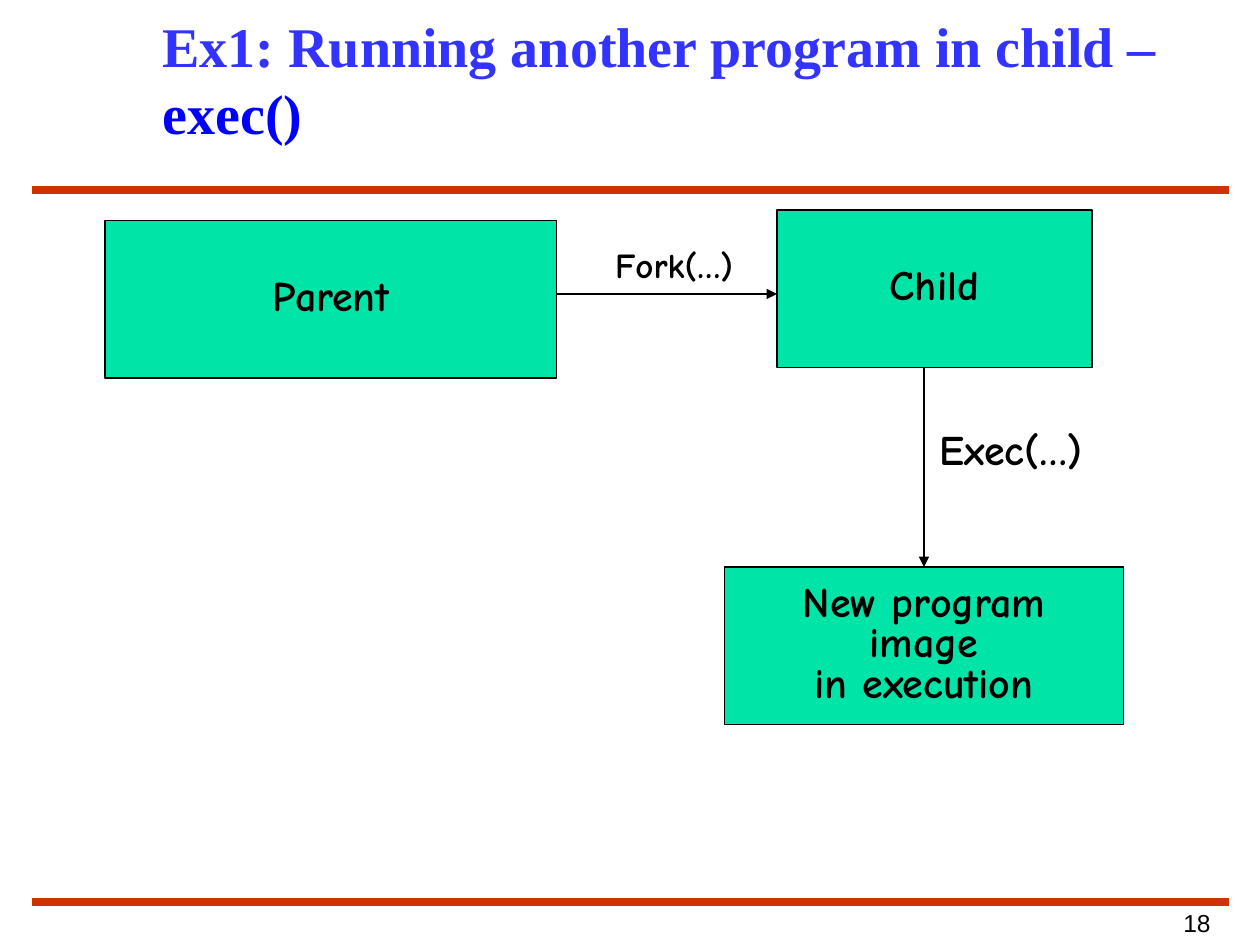
from lxml import etree
from pptx import Presentation
from pptx import util as u
from pptx.dml.color import RGBColor
from pptx.enum import shapes, text
from pptx.oxml.ns import qn

WIDTH, HEIGHT = u.Inches(10), u.Inches(7.5)
COLUMNS = 12
CELL = WIDTH / COLUMNS

BLACK = RGBColor(0x00, 0x00, 0x00)
BLUE = RGBColor(0x00, 0x00, 0xFF)
VIOLET = RGBColor(0x33, 0x33, 0xFF)
GREEN = RGBColor(0x00, 0xE4, 0xA8)
RUST = RGBColor(0xCC, 0x33, 0x00)

HAND = "Comic Neue"
CENTER = text.PP_ALIGN.CENTER
MIDDLE = text.MSO_ANCHOR.MIDDLE


def cells(*counts):
    return [u.Emu(round(count * CELL)) for count in counts]


def write(frame, paragraphs, font=HAND, size=24, bold=True, align=None,
          anchor=text.MSO_ANCHOR.TOP, spacing=0.81, margins=(0.1, 0.05), wrap=True):
    frame.word_wrap = wrap
    frame.vertical_anchor = anchor
    frame.margin_left = frame.margin_right = u.Inches(margins[0])
    frame.margin_top = frame.margin_bottom = u.Inches(margins[1])
    for index, pieces in enumerate(paragraphs):
        paragraph = frame.add_paragraph() if index else frame.paragraphs[0]
        paragraph.alignment = align
        paragraph.line_spacing = spacing
        for words, color in pieces:
            run = paragraph.add_run()
            run.text = words
            run.font.name = font
            run.font.size = u.Pt(size)
            run.font.bold = bold
            run.font.color.rgb = color


def add_label(slide, place, pieces, **style):
    label = slide.shapes.add_textbox(*cells(*place))
    write(label.text_frame, [pieces], **style)


def add_process(slide, place, *lines):
    process = slide.shapes.add_shape(shapes.MSO_SHAPE.RECTANGLE, *cells(*place))
    process.shadow.inherit = False
    process.fill.solid()
    process.fill.fore_color.rgb = GREEN
    process.line.color.rgb = BLACK
    process.line.width = u.Pt(0.75)
    write(process.text_frame, [[(line, BLACK)] for line in lines],
          align=CENTER, anchor=MIDDLE)


def add_line(slide, ends, color=BLACK, weight=0.75, arrow=True):
    line = slide.shapes.add_connector(shapes.MSO_CONNECTOR.STRAIGHT, *cells(*ends))
    line.line.color.rgb = color
    line.line.width = u.Pt(weight)
    if arrow:
        etree.SubElement(line.line._get_or_add_ln(), qn("a:tailEnd"), type="triangle")
    etree.SubElement(line._element.spPr, qn("a:effectLst"))


def main():
    deck = Presentation()
    deck.slide_width, deck.slide_height = WIDTH, HEIGHT
    slide = deck.slides.add_slide(deck.slide_layouts[6])

    for row in (1.81, 8.59):
        add_line(slide, (0.3, row, COLUMNS - 0.3, row), RUST, 4.5, arrow=False)

    add_label(slide, (1.43, 0, 10.18, 1.5),
              [("Ex1: Running another program in child –", VIOLET), (" exec()", BLUE)],
              font="Times New Roman", size=32, anchor=MIDDLE, spacing=1)

    add_process(slide, (1, 2.1, 4.3, 1.5), "Parent")
    add_process(slide, (7.4, 2, 3, 1.5), "Child")
    add_process(slide, (6.9, 5.4, 3.8, 1.5), "New program", "image", "in execution")

    add_line(slide, (5.3, 2.8, 7.4, 2.8))
    add_line(slide, (8.8, 3.5, 8.8, 5.4))
    add_label(slide, (5.74, 2.33, 1.37, 0.44), [("Fork(…)", BLACK)], size=20, wrap=False)
    add_label(slide, (8.83, 4.06, 1.61, 0.52), [("Exec(…)", BLACK)], wrap=False)

    add_label(slide, (11, 8.65, 0.8, 0.28), [("18", BLACK)], font="Arial", size=14,
              bold=False, align=CENTER, spacing=1, margins=(0, 0))

    deck.save("out.pptx")


if __name__ == "__main__":
    main()
